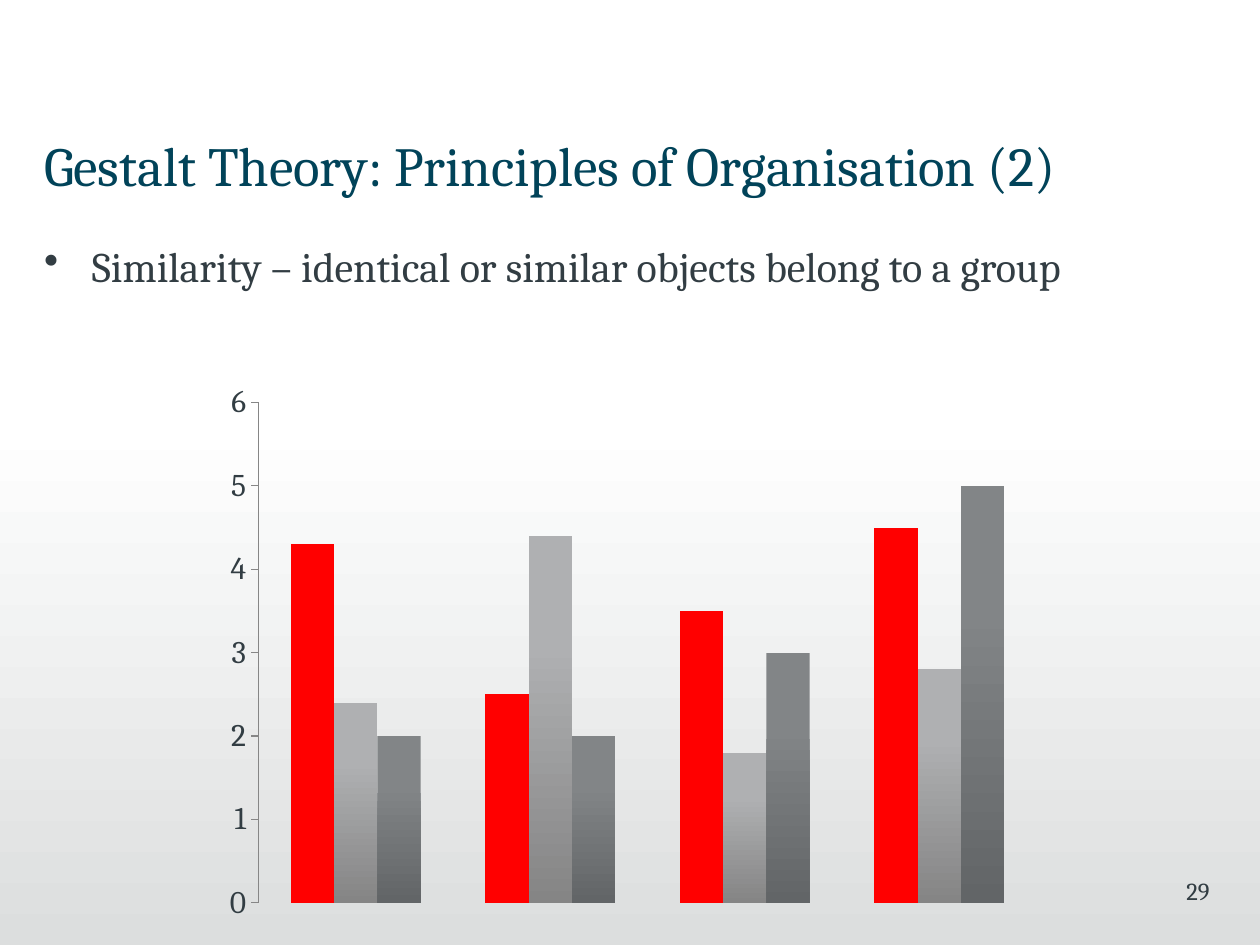
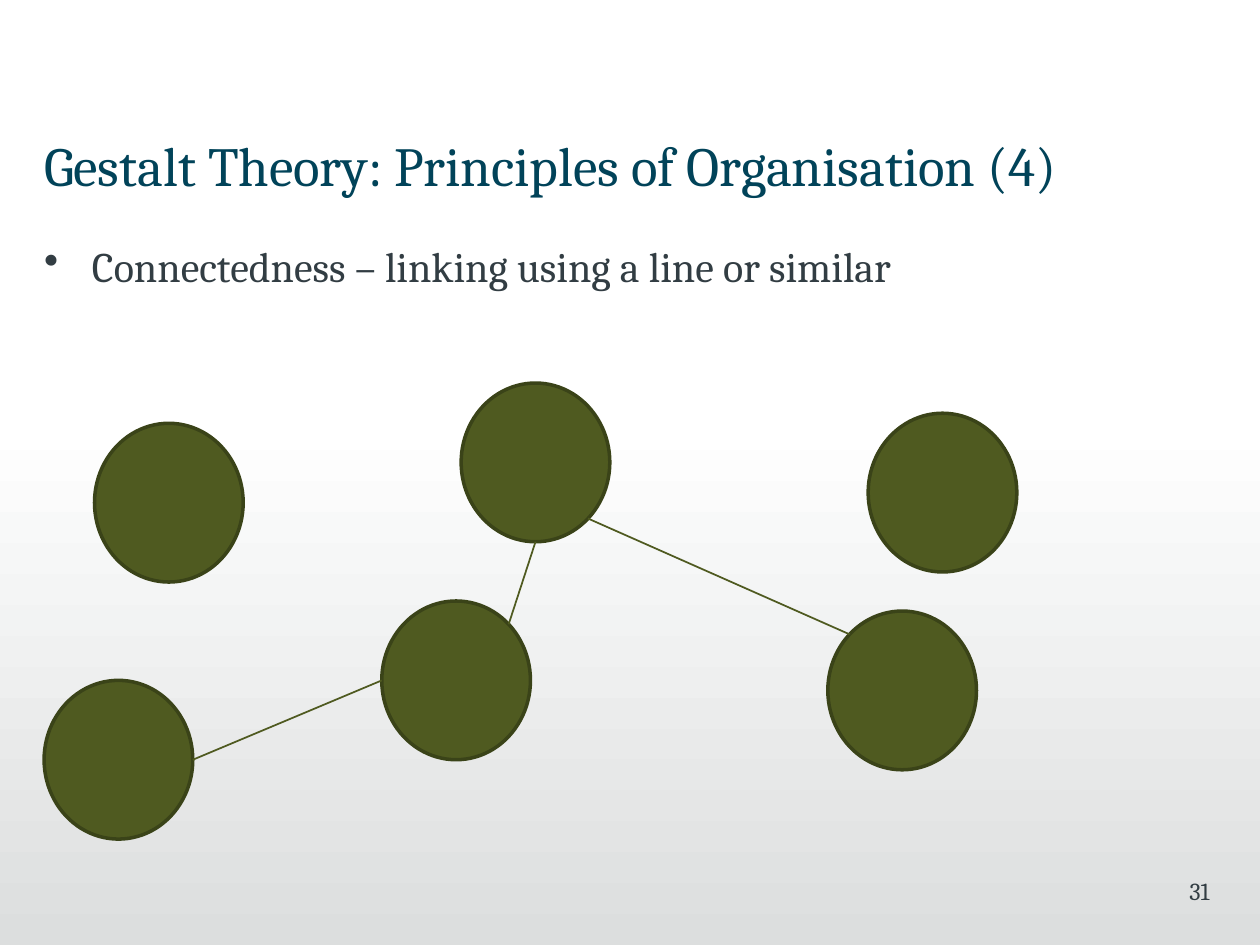
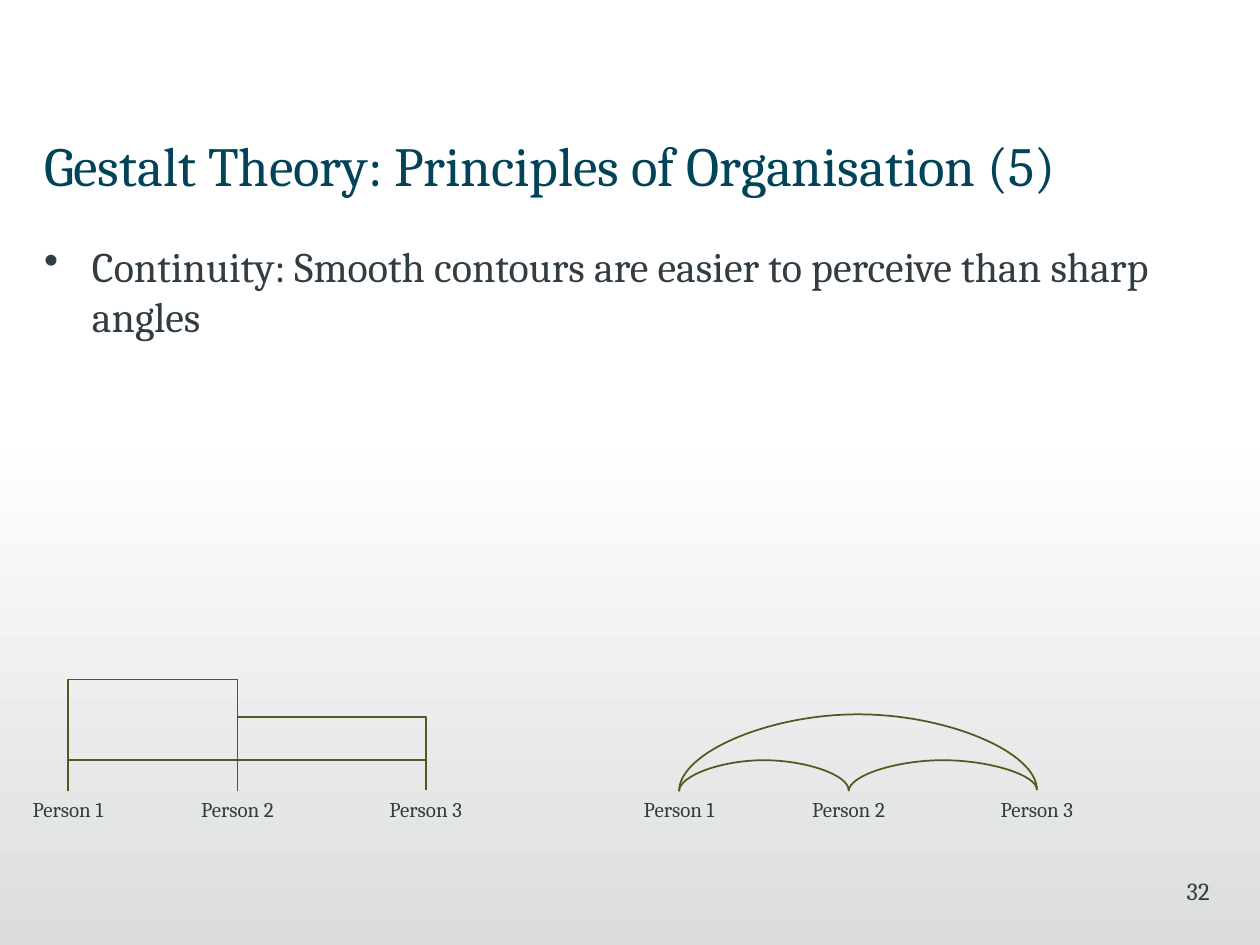
"""Build three slides on the Gestalt principles of organisation."""
from math import cos, radians, sin

from lxml import etree
from pptx import Presentation
from pptx.chart.data import CategoryChartData
from pptx.dml.color import RGBColor
from pptx.enum.chart import XL_CHART_TYPE, XL_TICK_MARK
from pptx.enum.shapes import MSO_CONNECTOR, MSO_SHAPE
from pptx.enum.text import MSO_AUTO_SIZE, PP_ALIGN
from pptx.oxml.ns import qn
from pptx.util import Inches, Pt

COLUMNS, ROWS = 100, 75
CELL = Inches(0.1)
MARGIN, TEXT_WIDTH = 3.5, 92.9
FONT = "Cambria"

TITLE_BLUE = RGBColor(0x01, 0x43, 0x59)
TEXT_GREY = RGBColor(0x32, 0x3D, 0x43)
WHITE = RGBColor(0xFF, 0xFF, 0xFF)
BAND_GREY = RGBColor(0xDC, 0xDE, 0xDE)
OLIVE = RGBColor(0x4F, 0x5A, 0x20)
DARK_OLIVE = RGBColor(0x3A, 0x43, 0x18)
RED = RGBColor(0xFF, 0x00, 0x00)
LIGHT_BAR = (RGBColor(0xAF, 0xB0, 0xB2), RGBColor(0x85, 0x85, 0x85))
DARK_BAR = (RGBColor(0x82, 0x85, 0x87), RGBColor(0x62, 0x65, 0x67))
AXIS_GREY = RGBColor(0x86, 0x86, 0x86)

LEFT, CENTER, RIGHT = PP_ALIGN.LEFT, PP_ALIGN.CENTER, PP_ALIGN.RIGHT
STRAIGHT, ELBOW, CURVE = MSO_CONNECTOR.STRAIGHT, MSO_CONNECTOR.ELBOW, MSO_CONNECTOR.CURVE

CIRCLE_WIDTH, CIRCLE_HEIGHT = 11.8, 12.6
LABEL_TOP, LABEL_WIDTH, LABEL_HEIGHT = 62.75, 8.6, 3
PERSON_OFFSETS = (0, 13.45, 28.4)
LINK_DEPTH = 0.1


def grid(*cells):
    """Convert grid cells to lengths."""
    return [round(cell * CELL) for cell in cells]


def fade(fill, top, bottom, start=0):
    """Fill with a gradient that runs downwards from start."""
    fill.gradient()
    fill.gradient_angle = 270
    first, last = fill.gradient_stops
    first.color.rgb, last.color.rgb = top, bottom
    first.position = start


def add_text(slide, area, text, size, color=TEXT_GREY, align=LEFT, insets=(0, 1), bullet=False):
    """Add a text box with one paragraph."""
    box = slide.shapes.add_textbox(*grid(*area))
    frame = box.text_frame
    frame.word_wrap = True
    frame.margin_left, frame.margin_right = grid(*insets)
    paragraph = frame.paragraphs[0]
    paragraph.text = text
    paragraph.alignment = align
    if bullet:
        properties = paragraph._p.get_or_add_pPr()
        indent = Inches(0.38)
        properties.set("marL", str(indent))
        properties.set("indent", str(-indent))
        etree.SubElement(properties, qn("a:buChar")).set("char", "•")
    paragraph.font.name = FONT
    paragraph.font.size = Pt(size)
    paragraph.font.color.rgb = color
    return box


def add_principle_slide(presentation, part, statement, page):
    """Add a slide with its band, title, bullet and page number."""
    slide = presentation.slides.add_slide(presentation.slide_layouts[6])
    band_top = 33.3
    band = slide.shapes.add_shape(
        MSO_SHAPE.RECTANGLE, *grid(0, band_top, COLUMNS, ROWS - band_top))
    band.shadow.inherit = False
    band.line.fill.background()
    fade(band.fill, WHITE, BAND_GREY)
    add_text(slide, (MARGIN, 9.9, TEXT_WIDTH, 7.1),
             f"Gestalt Theory: Principles of Organisation ({part})", 31.5, TITLE_BLUE)
    add_text(slide, (MARGIN, 18.6, TEXT_WIDTH, 45), statement, 24, bullet=True)
    add_text(slide, (75.2, 69, 20.8, 5), str(page), 14, align=RIGHT, insets=(1, 0))
    return slide


def add_similarity_chart(slide):
    """Add a column chart whose red series stands out."""
    data = CategoryChartData()
    data.categories = ["1", "2", "3", "4"]
    data.add_series("Series 1", (4.3, 2.5, 3.5, 4.5))
    data.add_series("Series 2", (2.4, 4.4, 1.8, 2.8))
    data.add_series("Series 3", (2, 2, 3, 5))
    chart = slide.shapes.add_chart(
        XL_CHART_TYPE.COLUMN_CLUSTERED, *grid(16.9, 29.6, 66.7, 44.4), data).chart
    chart.has_legend = False
    chart.has_title = False
    chart.font.name = FONT
    chart.font.size = Pt(18)
    chart.font.color.rgb = TEXT_GREY
    chart.category_axis.visible = False
    axis = chart.value_axis
    axis.has_major_gridlines = False
    axis.major_tick_mark = XL_TICK_MARK.OUTSIDE
    axis.minimum_scale, axis.maximum_scale, axis.major_unit = 0, 6, 1
    axis.format.line.color.rgb = AXIS_GREY
    plot = chart.plots[0]
    plot.gap_width = 150
    plot.overlap = 0
    plot.vary_by_categories = False
    red, light, dark = plot.series
    red.format.fill.solid()
    red.format.fill.fore_color.rgb = RED
    fade(light.format.fill, *LIGHT_BAR, start=0.3)
    fade(dark.format.fill, *DARK_BAR, start=0.3)


def add_circle(slide, left, top):
    """Add an olive circle."""
    circle = slide.shapes.add_shape(
        MSO_SHAPE.OVAL, *grid(left, top, CIRCLE_WIDTH, CIRCLE_HEIGHT))
    circle.shadow.inherit = False
    circle.fill.solid()
    circle.fill.fore_color.rgb = OLIVE
    circle.line.color.rgb = DARK_OLIVE
    circle.line.width = Pt(2)
    return circle


def rim_point(circle, degrees):
    """Find the point on the rim, clockwise from the right."""
    angle = radians(degrees)
    return (round(circle.left + circle.width / 2 * (1 + cos(angle))),
            round(circle.top + circle.height / 2 * (1 + sin(angle))))


def add_link(slide, kind, begin, end):
    """Add a thin olive connector without a shadow."""
    link = slide.shapes.add_connector(kind, *begin, *end)
    link.line.color.rgb = OLIVE
    link.line.width = Pt(1)
    etree.SubElement(link._element.spPr, qn("a:effectLst"))
    return link


def add_raised_link(slide, kind, begin_label, end_label, rise):
    """Join the tops of two labels with a connector that rises above them."""
    ends = [(label.left + label.width // 2, label.top) for label in (begin_label, end_label)]
    link = add_link(slide, kind, *ends)
    link.begin_connect(begin_label, 0)
    link.end_connect(end_label, 0)
    (begin_x, top), (end_x, _) = ends
    span = end_x - begin_x
    depth, = grid(LINK_DEPTH)
    link.left, link.top = (begin_x + end_x - depth) // 2, top - span // 2
    link.width, link.height = depth, span
    properties = link._element.spPr
    frame = properties.find(qn("a:xfrm"))
    for name, value in (("rot", "5400000"), ("flipH", "1"), ("flipV", "1")):
        frame.set(name, value)
    geometry = properties.find(qn("a:prstGeom"))
    guide = etree.SubElement(geometry.get_or_add_avLst(), qn("a:gd"))
    guide.set("name", "adj1")
    guide.set("fmla", f"val {round(rise / LINK_DEPTH * 100000)}")


def add_people(slide, first_center, kind, links):
    """Add three labelled people and the links between them."""
    labels = []
    for number, offset in enumerate(PERSON_OFFSETS, 1):
        left = first_center + offset - LABEL_WIDTH / 2
        label = add_text(slide, (left, LABEL_TOP, LABEL_WIDTH, LABEL_HEIGHT),
                         f"Person {number}", 12, align=CENTER, insets=(1, 1))
        label.text_frame.word_wrap = False
        label.text_frame.auto_size = MSO_AUTO_SIZE.SHAPE_TO_FIT_TEXT
        labels.append(label)
    for begin, end, rise in links:
        add_raised_link(slide, kind, labels[begin], labels[end], rise)


def main():
    """Build and save the presentation."""
    presentation = Presentation()
    presentation.slide_width, presentation.slide_height = grid(COLUMNS, ROWS)

    similarity = add_principle_slide(
        presentation, 2, "Similarity – identical or similar objects belong to a group", 29)
    add_similarity_chart(similarity)

    connectedness = add_principle_slide(
        presentation, 4, "Connectedness – linking using a line or similar", 31)
    places = ((7.5, 33.6), (3.5, 54), (68.9, 32.8), (65.7, 48.5), (30.3, 47.7), (36.6, 30.4))
    circles = [add_circle(connectedness, *place) for place in places]
    _, lower_left, _, lower_right, middle, top = circles
    for begin, begin_angle, end, end_angle in (
            (middle, 180, lower_left, 0), (top, 90, middle, -45), (top, 45, lower_right, 225)):
        add_link(connectedness, STRAIGHT,
                 rim_point(begin, begin_angle), rim_point(end, end_angle))

    continuity = add_principle_slide(
        presentation, 5, "Continuity: Smooth contours are easier to perceive than sharp angles", 32)
    add_people(continuity, 5.4, ELBOW, ((0, 2, 2.5), (1, 2, 6), (0, 1, 9)))
    add_people(continuity, 53.9, CURVE, ((0, 2, 6.2), (1, 2, 2.5), (0, 1, 2.5)))

    presentation.save("out.pptx")


if __name__ == "__main__":
    main()
